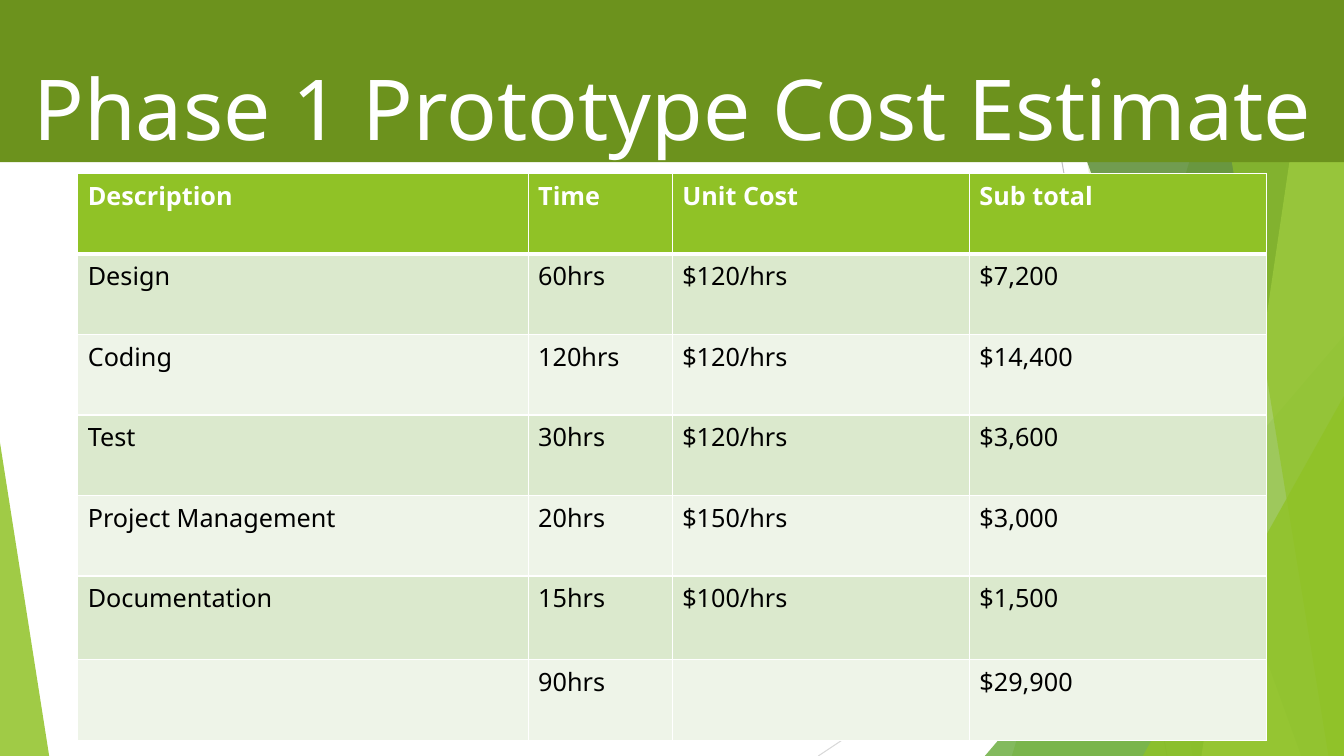
from lxml import etree
from pptx import Presentation
from pptx.dml.color import RGBColor
from pptx.enum.shapes import MSO_CONNECTOR, MSO_SHAPE
from pptx.enum.text import MSO_ANCHOR, PP_ALIGN
from pptx.oxml.ns import qn
from pptx.util import Cm, Pt

WIDTH, HEIGHT = 33.87, 19.05
GREEN, WHITE, BLACK = "90C226", "FFFFFF", "000000"
BANDS = ("EEF4E8", "DBE9CD")


def color(hex_value):
    return RGBColor.from_string(hex_value)


class CostSlide:
    font = "Noto Sans"

    def __init__(self, presentation):
        self.slide = presentation.slides.add_slide(presentation.slide_layouts[6])
        self.shapes = self.slide.shapes

    def paint(self, shape, fill, opacity=100):
        shape.shadow.inherit = False
        shape.line.fill.background()
        shape.fill.solid()
        shape.fill.fore_color.rgb = color(fill)
        if opacity < 100:
            solid = shape._element.spPr.find(qn("a:solidFill"))
            srgb = solid.find(qn("a:srgbClr"))
            etree.SubElement(srgb, qn("a:alpha"), val=str(opacity * 1000))

    def label(self, frame, text, size, hex_value, bold=False):
        paragraph = frame.paragraphs[0]
        paragraph.font.size = Pt(size)
        if text:
            run = paragraph.add_run()
            run.text = text
            run.font.name = self.font
            run.font.size = Pt(size)
            run.font.bold = bold
            run.font.color.rgb = color(hex_value)
        return paragraph

    def line(self, start, end, hex_value):
        points = [Cm(value) for value in (*start, *end)]
        connector = self.shapes.add_connector(MSO_CONNECTOR.STRAIGHT, *points)
        connector.line.color.rgb = color(hex_value)
        connector.line.width = Pt(0.75)
        etree.SubElement(connector._element.spPr, qn("a:effectLst"))

    def edge_panel(self, top_x, bottom_x, fill, opacity):
        corners = [(top_x, 0), (WIDTH, 0), (WIDTH, HEIGHT), (bottom_x, HEIGHT)]
        points = [(Cm(x), Cm(y)) for x, y in corners]
        builder = self.shapes.build_freeform(*points[0], scale=1.0)
        builder.add_line_segments(points[1:], close=True)
        self.paint(builder.convert_to_shape(), fill, opacity)

    def corner_triangle(self, left, top, width, apex, fill, opacity):
        box = [Cm(value) for value in (left, top, width, HEIGHT - top)]
        triangle = self.shapes.add_shape(MSO_SHAPE.ISOSCELES_TRIANGLE, *box)
        triangle.adjustments[0] = apex
        self.paint(triangle, fill, opacity)

    def title(self, text, height, fill):
        banner = self.shapes.add_shape(
            MSO_SHAPE.RECTANGLE, 0, 0, Cm(WIDTH), Cm(height))
        self.paint(banner, fill)
        frame = banner.text_frame
        frame.word_wrap = True
        frame.vertical_anchor = MSO_ANCHOR.BOTTOM
        self.label(frame, text, 60, WHITE).alignment = PP_ALIGN.CENTER

    def border(self, cell, side, points):
        properties = cell._tc.get_or_add_tcPr()
        line = etree.SubElement(
            properties, qn("a:ln" + side), w=str(int(Pt(points))))
        fill = etree.SubElement(line, qn("a:solidFill"))
        etree.SubElement(fill, qn("a:srgbClr"), val=WHITE)

    def table(self, left, top, widths, heights, rows):
        table = self.shapes.add_table(
            len(rows), len(widths), Cm(left), Cm(top),
            Cm(sum(widths)), Cm(sum(heights))).table
        for column, width in zip(table.columns, widths):
            column.width = Cm(width)
        for row, height in zip(table.rows, heights):
            row.height = Cm(height)
        for r, texts in enumerate(rows):
            header = r == 0
            for c, text in enumerate(texts):
                cell = table.cell(r, c)
                for side in "LRTB":
                    thick = (r, side) in ((0, "B"), (1, "T"))
                    self.border(cell, side, 3 if thick else 1)
                cell.fill.solid()
                cell.fill.fore_color.rgb = color(GREEN if header else BANDS[r % 2])
                self.label(cell.text_frame, text, 18,
                           WHITE if header else BLACK, header)


presentation = Presentation()
presentation.slide_width = Cm(WIDTH)
presentation.slide_height = Cm(HEIGHT)
slide = CostSlide(presentation)

slide.line((26.04, 0), (29.41, HEIGHT), "BFBFBF")
slide.line((WIDTH, 10.24), (20.62, HEIGHT), "D9D9D9")
slide.edge_panel(31.19, 25.5, GREEN, 30)
slide.edge_panel(26.67, 30.05, GREEN, 20)
slide.corner_triangle(24.82, 8.46, 9.05, 1, "54A021", 72)
slide.edge_panel(25.93, 32.79, "3F7819", 70)
slide.edge_panel(33.1, 30.28, "C0E474", 70)
slide.edge_panel(30.38, 33.48, GREEN, 65)
slide.corner_triangle(28.8, 9.98, 5.07, 1, GREEN, 80)
slide.corner_triangle(0, 11.15, 1.24, 0, GREEN, 85)

slide.title("Phase 1 Prototype Cost Estimate", 4.09, "6C921D")
slide.table(
    1.96, 4.37,
    widths=[11.35, 3.63, 7.49, 7.49],
    heights=[2.03] * 5 + [2.11, 2.03],
    rows=[
        ("Description", "Time", "Unit Cost", "Sub total"),
        ("Design", "60hrs", "$120/hrs", "$7,200"),
        ("Coding", "120hrs", "$120/hrs", "$14,400"),
        ("Test", "30hrs", "$120/hrs", "$3,600"),
        ("Project Management", "20hrs", "$150/hrs", "$3,000"),
        ("Documentation", "15hrs", "$100/hrs", "$1,500"),
        ("", "90hrs", "", "$29,900"),
    ])

presentation.save("out.pptx")
